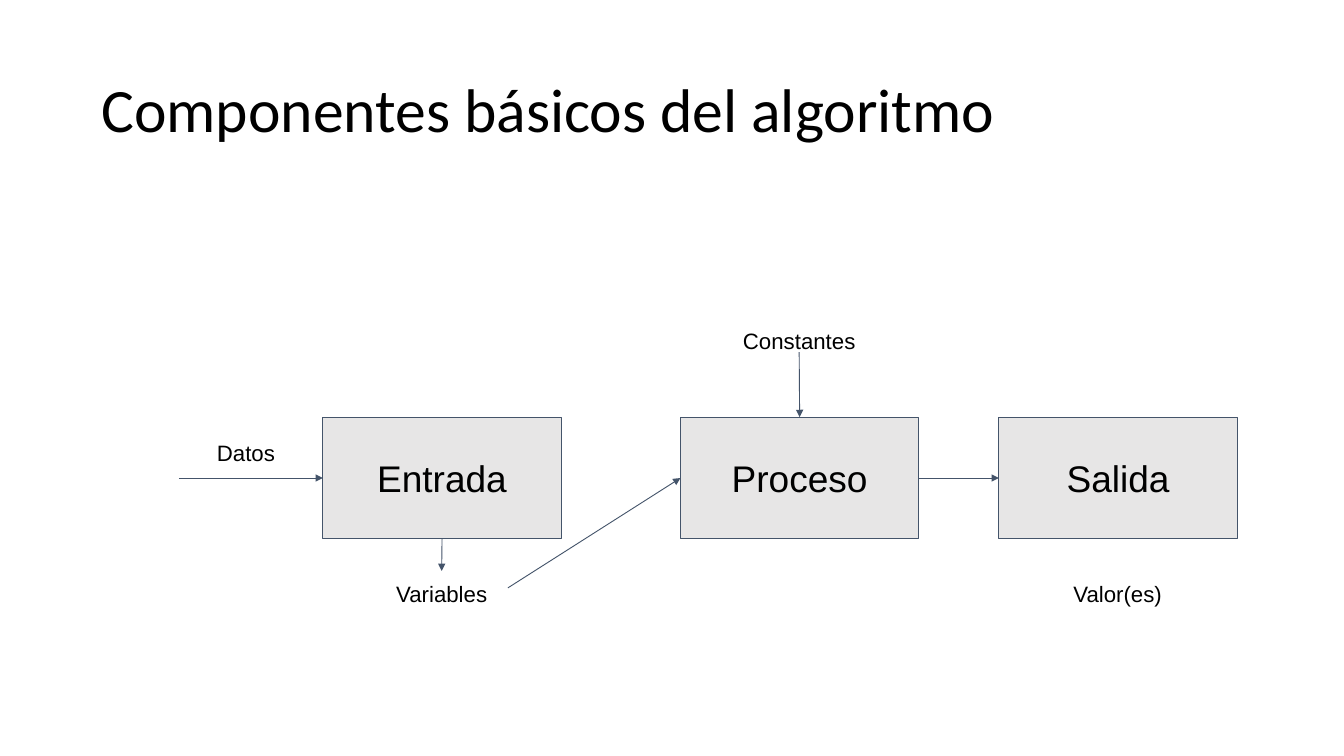
from lxml.etree import SubElement
from pptx import Presentation
from pptx.dml.color import RGBColor
from pptx.enum.shapes import MSO_CONNECTOR, MSO_SHAPE
from pptx.enum.text import MSO_ANCHOR, PP_ALIGN
from pptx.oxml.ns import qn
from pptx.util import Inches, Pt

TOP, LEFT, BOTTOM, RIGHT = range(4)
BLACK, GRAY, SLATE = "000000", "E7E6E6", "44546A"


def color(value):
    return RGBColor.from_string(value)


def write(shape, text, size, font, align, anchor, margin):
    """Fill a shape with one formatted line; margin is the top and bottom inset."""
    frame = shape.text_frame
    frame.word_wrap = True
    frame.vertical_anchor = anchor
    frame.margin_left = frame.margin_right = Inches(0.1)
    frame.margin_top = frame.margin_bottom = Inches(margin)
    paragraph = frame.paragraphs[0]
    paragraph.alignment = align
    run = paragraph.add_run()
    run.text = text
    run.font.size = Pt(size)
    run.font.name = font
    run.font.color.rgb = color(BLACK)


prs = Presentation()
prs.slide_width, prs.slide_height = Inches(15.11), Inches(8.5)
slide = prs.slides.add_slide(prs.slide_layouts[5])

title = slide.shapes.title
title.left, title.top = Inches(1.04), Inches(0.45)
title.width, title.height = Inches(11.59), Inches(1.64)
write(title, "Componentes básicos del algoritmo", 49.9, "Calibri",
      PP_ALIGN.LEFT, MSO_ANCHOR.MIDDLE, 0.05)
title.text_frame.paragraphs[0].line_spacing = 0.9

nodes = {}
for stage, left in [("Entrada", 3.63), ("Proceso", 7.65), ("Salida", 11.23)]:
    box = slide.shapes.add_shape(MSO_SHAPE.RECTANGLE, Inches(left), Inches(4.69),
                                 Inches(2.68), Inches(1.37))
    box.shadow.inherit = False
    box.fill.solid()
    box.fill.fore_color.rgb = color(GRAY)
    box.line.color.rgb = color(SLATE)
    box.line.width = Pt(0.75)
    write(box, stage, 30, "Arial", PP_ALIGN.CENTER, MSO_ANCHOR.MIDDLE, 0.1)
    nodes[stage] = box

for label, left, top, width, align in [
    ("Datos", 2.34, 4.84, 1, PP_ALIGN.LEFT),
    ("Variables", 4.22, 6.42, 1.49, PP_ALIGN.CENTER),
    ("Valor(es)", 11.82, 6.42, 1.49, PP_ALIGN.CENTER),
    ("Constantes", 8.08, 3.58, 1.81, PP_ALIGN.CENTER),
]:
    caption = slide.shapes.add_textbox(Inches(left), Inches(top), Inches(width), Inches(0.38))
    write(caption, label, 18, "Arial", align, MSO_ANCHOR.TOP, 0.1)
    nodes[label] = caption

# The data arrow starts in open space; every other end is joined to a node.
for source, source_side, target, target_side in [
    (None, None, "Entrada", LEFT),
    ("Entrada", BOTTOM, "Variables", TOP),
    ("Variables", RIGHT, "Proceso", LEFT),
    ("Proceso", RIGHT, "Salida", LEFT),
    ("Constantes", BOTTOM, "Proceso", TOP),
]:
    start_y = nodes["Entrada"].top + nodes["Entrada"].height // 2
    arrow = slide.shapes.add_connector(MSO_CONNECTOR.STRAIGHT, Inches(2.01), start_y,
                                       Inches(3.63), start_y)
    if source:
        arrow.begin_connect(nodes[source], source_side)
    arrow.end_connect(nodes[target], target_side)
    arrow.line.color.rgb = color(SLATE)
    arrow.line.width = Pt(0.75)
    SubElement(arrow.line._get_or_add_ln(), qn("a:tailEnd"), type="triangle")
    SubElement(arrow._element.spPr, qn("a:effectLst"))

prs.save("out.pptx")
